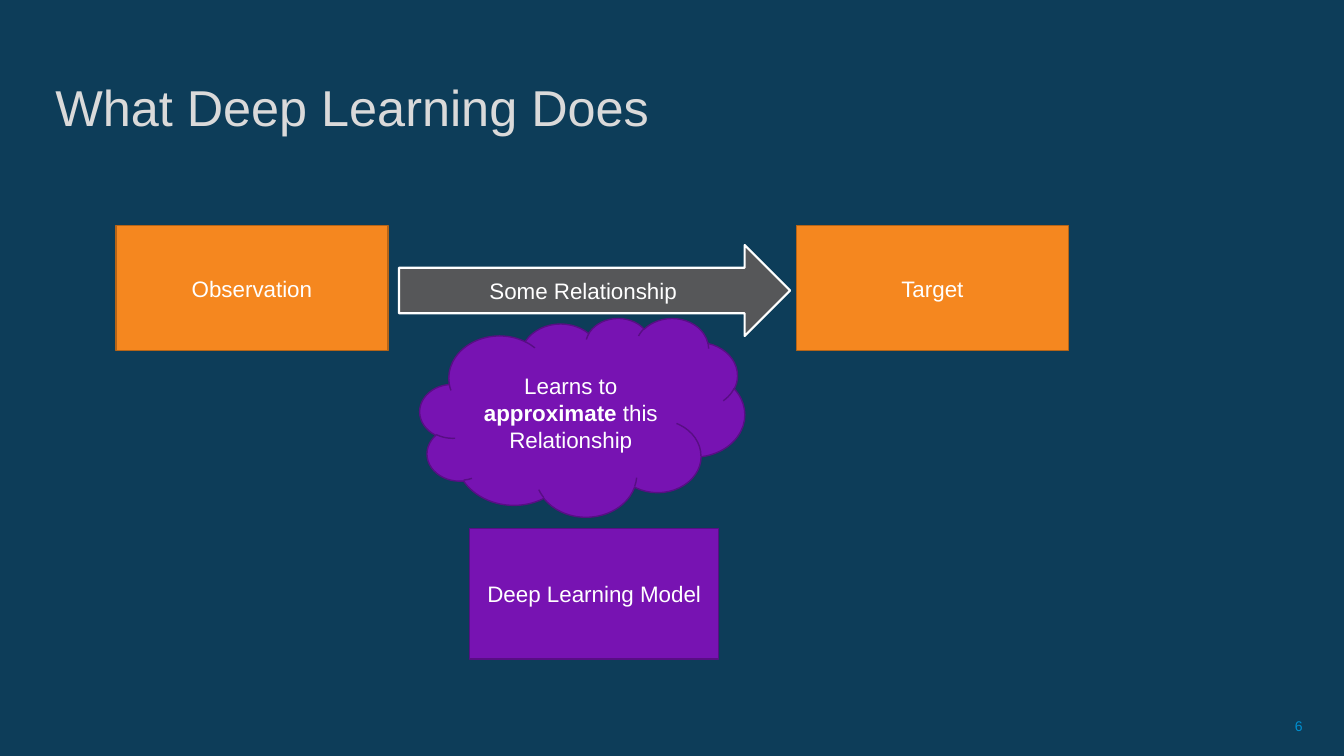
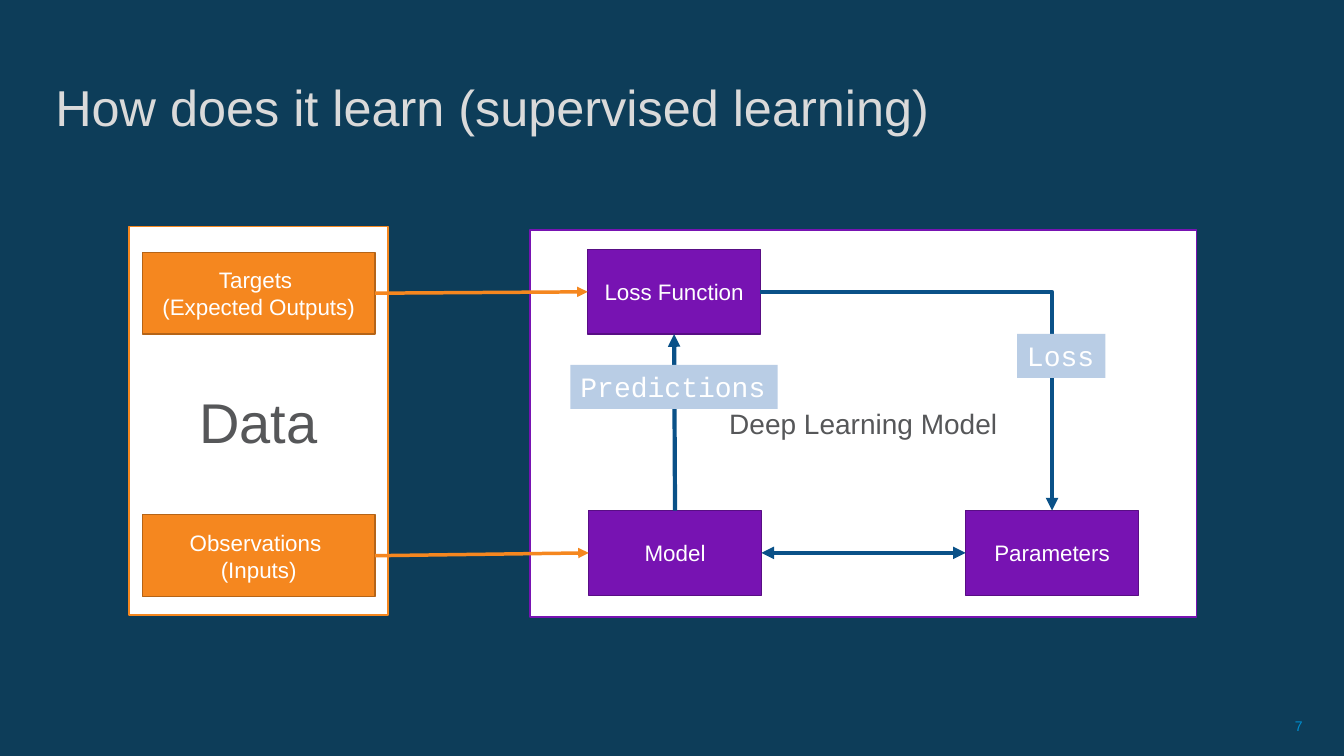
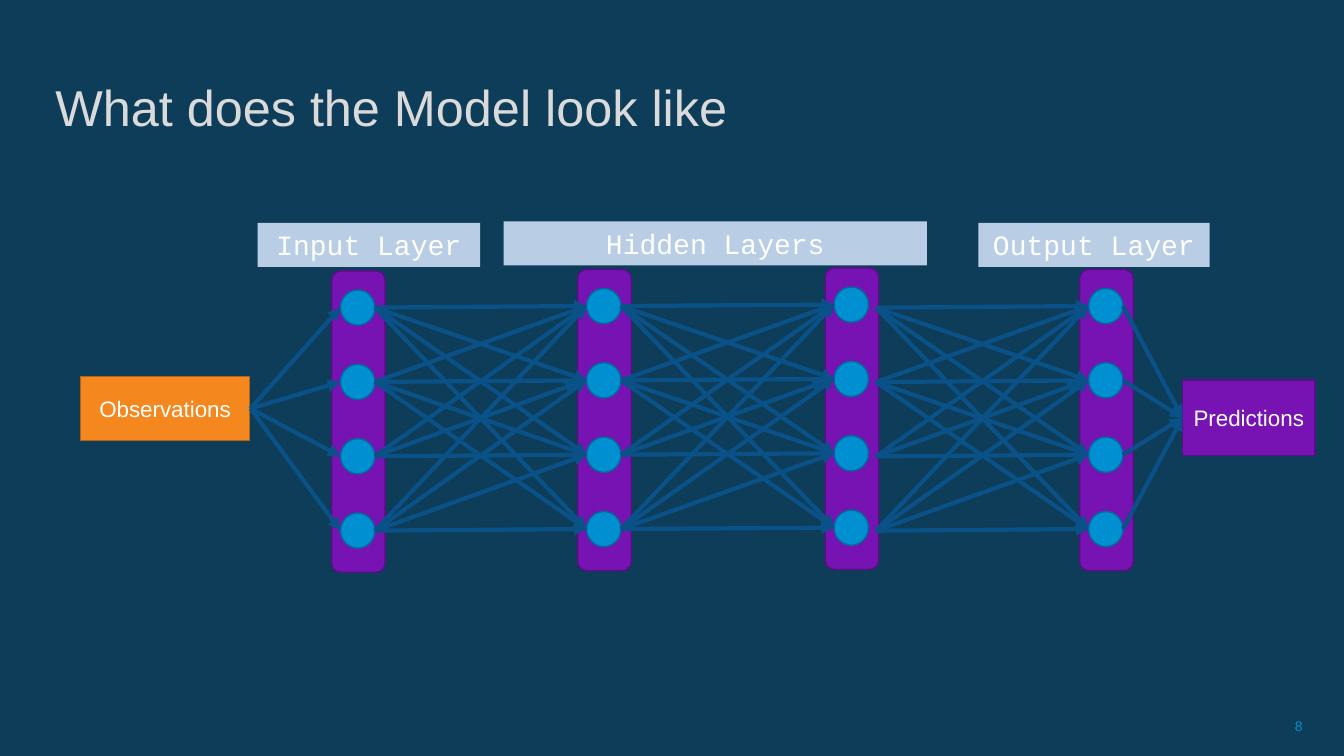
from dataclasses import dataclass
from itertools import product

import pptx
import pptx.dml.color
import pptx.enum.shapes
import pptx.enum.text
import pptx.oxml
import pptx.oxml.ns
import pptx.util

Pt = pptx.util.Pt
FORM = pptx.enum.shapes.MSO_SHAPE
LINK = pptx.enum.shapes.MSO_CONNECTOR
ALIGN = pptx.enum.text.PP_ALIGN
ANCHOR = pptx.enum.text.MSO_ANCHOR

# Shared colours and styles
COLORS = {
    "back": "0D3D59", "title": "DADADA", "white": "FFFFFF", "gray": "565759",
    "orange": "F5871F", "rust": "B56417", "purple": "7713B2", "plum": "580E84",
    "blue": "008FD0", "teal": "006A9A", "navy": "0A5188", "pale": "B9CDE5",
}
TOP, LEFT, BOTTOM, RIGHT = range(4)  # connection sites of a rectangle


@dataclass(frozen=True)
class Look:
    fill: str | None = None
    edge: str | None = None
    ink: str = "white"
    size: float = 16
    font: str = "Arial"
    align: int = ALIGN.CENTER
    anchor: int = ANCHOR.MIDDLE
    width: float = 1
    wrap: bool = True


@dataclass(frozen=True)
class Run:
    text: str
    bold: bool = False


@dataclass(frozen=True)
class Box:
    left: float
    top: float
    width: float
    height: float
    look: Look
    paras: tuple[tuple[Run, ...], ...] = ()
    form: int = FORM.RECTANGLE


TITLE = Look(ink="title", size=36, align=ALIGN.LEFT, anchor=ANCHOR.BOTTOM)
NUMBER = Look(ink="blue", size=10, align=ALIGN.RIGHT)
DATA = Look("orange", "rust")
MODEL = Look("purple", "plum")
ARROW = Look("gray", "white", width=1.5)
NODE = Look("blue", "teal")
LABEL = Look("pale", size=20, font="Courier New", anchor=ANCHOR.TOP)
TAG = Look("pale", size=20, font="Courier New", align=ALIGN.LEFT,
           anchor=ANCHOR.TOP, wrap=False)


def lines(*texts: str) -> tuple[tuple[Run, ...], ...]:
    return tuple((Run(text),) for text in texts)


def shade(name: str):
    return pptx.dml.color.RGBColor.from_string(COLORS[name])


# Drawing
def write(frame, look: Look, paras) -> None:
    frame.word_wrap = look.wrap
    frame.vertical_anchor = look.anchor
    for i, runs in enumerate(paras):
        para = frame.paragraphs[0] if i == 0 else frame.add_paragraph()
        para.alignment = look.align
        for item in runs:
            run = para.add_run()
            run.text = item.text
            run.font.name = look.font
            run.font.size = Pt(look.size)
            run.font.bold = item.bold
            run.font.color.rgb = shade(look.ink)


def draw(slide, box: Box):
    place = [Pt(v) for v in (box.left, box.top, box.width, box.height)]
    look = box.look
    if look.fill is None:
        shape = slide.shapes.add_textbox(*place)
    else:
        shape = slide.shapes.add_shape(box.form, *place)
        shape.shadow.inherit = False
        shape.fill.solid()
        shape.fill.fore_color.rgb = shade(look.fill)
        if look.edge:
            shape.line.color.rgb = shade(look.edge)
            shape.line.width = Pt(look.width)
        else:
            shape.line.fill.background()
    if box.paras:
        write(shape.text_frame, look, box.paras)
    return shape


def link(slide, start: tuple[float, float], end: tuple[float, float],
         color: str = "navy", width: float = 3, both: bool = False,
         kind: int = LINK.STRAIGHT):
    wire = slide.shapes.add_connector(kind, *(Pt(v) for v in (*start, *end)))
    wire.line.color.rgb = shade(color)
    wire.line.width = Pt(width)
    edge = wire.line._get_or_add_ln()
    for tag in ("a:headEnd", "a:tailEnd") if both else ("a:tailEnd",):
        tip = pptx.oxml.xmlchemy.OxmlElement(tag)
        tip.set("type", "triangle")
        edge.append(tip)
    wire._element.spPr.append(pptx.oxml.xmlchemy.OxmlElement("a:effectLst"))
    return wire


def join(slide, source, out: int, target, into: int, **style):
    wire = link(slide, (0, 0), (0, 0), **style)
    wire.begin_connect(source, out)
    wire.end_connect(target, into)
    return wire


def start(deck, title: str, number: int):
    slide = deck.slides.add_slide(deck.slide_layouts[6])
    slide.background.fill.solid()
    slide.background.fill.fore_color.rgb = shade("back")
    draw(slide, Box(713.5, 504, 223.9, 28.8, NUMBER, lines(str(number))))
    draw(slide, Box(32.4, 10.1, 898, 90.7, TITLE, lines(title)))
    return slide


# What the model does
def purpose(deck) -> None:
    slide = start(deck, "What Deep Learning Does", 6)
    for left, text in ((82.8, "Observation"), (568.8, "Target")):
        draw(slide, Box(left, 161.3, 194.4, 89, DATA, lines(text)))
    draw(slide, Box(285, 175, 279.4, 65, ARROW, lines("Some Relationship"),
                    FORM.RIGHT_ARROW))
    draw(slide, Box(335.6, 377.4, 177.8, 93.3, MODEL,
                    lines("Deep Learning Model")))
    goal = (Run("Learns to "), Run("approximate ", True),
            Run("this Relationship"))
    draw(slide, Box(300, 227, 232, 142, MODEL, (goal,), FORM.CLOUD))


# How it learns
def training(deck) -> None:
    slide = start(deck, "How does it learn (supervised learning)", 7)
    draw(slide, Box(92.2, 162, 185, 277.2,
                    Look("white", "orange", "gray", 40), lines("Data")))
    goals, inputs = (
        draw(slide, Box(101.8, top, 166, 58.5, DATA, lines(*texts)))
        for top, texts in ((180.2, ("Targets ", "(Expected Outputs)")),
                           (367.7, ("Observations ", "(Inputs)"))))
    draw(slide, Box(378.7, 164.2, 476, 276.5,
                    Look("white", "purple", "gray", 20),
                    lines("Deep Learning Model")))
    loss, model, params = (
        draw(slide, Box(left, top, 123.4, 60.5, MODEL, lines(text)))
        for left, top, text in ((419.8, 178.2, "Loss Function"),
                                (420.5, 364.7, "Model"),
                                (689.8, 364.7, "Parameters")))
    join(slide, model, TOP, loss, BOTTOM)
    bend = join(slide, loss, RIGHT, params, TOP, kind=LINK.ELBOW)
    bend._element.spPr.prstGeom.set("prst", "bentConnector2")
    for left, top, width, text in ((726.5, 238.5, 63, "Loss"),
                                   (407.5, 260.6, 147.9, "Predictions")):
        draw(slide, Box(left, top, width, 31.5, TAG, lines(text)))
    for source, target in ((goals, loss), (inputs, model)):
        join(slide, source, RIGHT, target, LEFT, color="orange", width=2.5)
    join(slide, model, RIGHT, params, LEFT, both=True)


# Network layers
COUNT, PITCH = 4, 53.1
INSET, DROP = 6.3, 13.6  # first node from the bar's corner
WIDE, HIGH = 24.6, 25.2  # node size


@dataclass(frozen=True)
class Layer:
    left: float
    top: float
    out: float = INSET + WIDE  # where links leave, from the bar's left
    sink: float = 0            # how far below the node centres they leave

    def node(self, i: int) -> float:
        return self.top + DROP + i * PITCH

    def enter(self, i: int) -> tuple[float, float]:
        return self.left + INSET, self.node(i) + HIGH / 2

    def leave(self, i: int) -> tuple[float, float]:
        return self.left + self.out, self.node(i) + HIGH / 2 + self.sink


LAYERS = (Layer(236.9, 193.5), Layer(412.7, 192.4),
          Layer(589.5, 191.4, 36.3, 2.2), Layer(771.3, 192.4))


def stack(slide, layer: Layer) -> None:
    draw(slide, Box(layer.left, layer.top, 38.2, 215.3, MODEL,
                    form=FORM.ROUNDED_RECTANGLE))
    for i in range(COUNT):
        draw(slide, Box(layer.left + INSET, layer.node(i), WIDE, HIGH, NODE,
                        form=FORM.FLOWCHART_CONNECTOR))


def mesh(slide, source: Layer, target: Layer) -> None:
    for i, j in product(range(COUNT), repeat=2):
        if (i, j) == (2, 3):  # this pair is not linked
            continue
        end = target.enter(j)
        if (i, j) == (2, 1):  # this link stops at the bar
            end = target.left, end[1] + 1.8
        link(slide, source.leave(i), end)


def network(deck) -> None:
    slide = start(deck, "What does the Model look like", 8)
    draw(slide, Box(57.6, 268.8, 120.6, 46, DATA, lines("Observations")))
    stack(slide, LAYERS[0])
    for i in range(COUNT):
        link(slide, (178.9, 291.8), LAYERS[0].enter(i))
    for left, top, width, text in ((184, 159.2, 159, "Input Layer"),
                                   (359.8, 158.1, 302.4, "Hidden Layers"),
                                   (698.9, 159.2, 165.1, "Output Layer")):
        draw(slide, Box(left, top, width, 31.5, LABEL, lines(text)))
    for source, target in zip(LAYERS, LAYERS[1:]):
        stack(slide, target)
        mesh(slide, source, target)
    draw(slide, Box(844.6, 271.6, 94.8, 53.8, MODEL, lines("Predictions")))
    for i in range(COUNT):
        link(slide, LAYERS[-1].leave(i), (844.6, 298.5))


def main() -> None:
    deck = pptx.Presentation()
    deck.slide_width, deck.slide_height = Pt(960), Pt(540)
    for build in (purpose, training, network):
        build(deck)
    deck.save("out.pptx")


if __name__ == "__main__":
    main()
